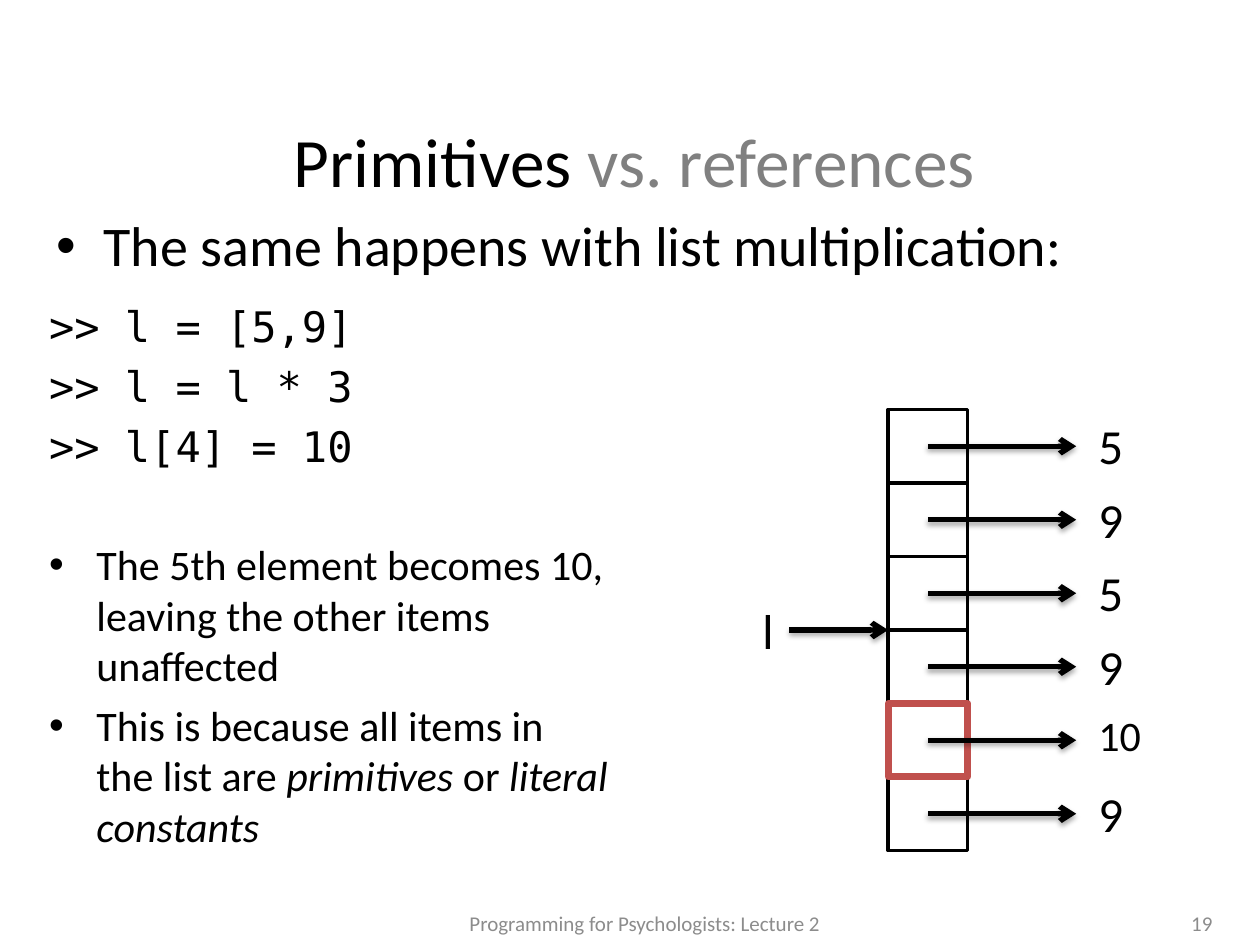
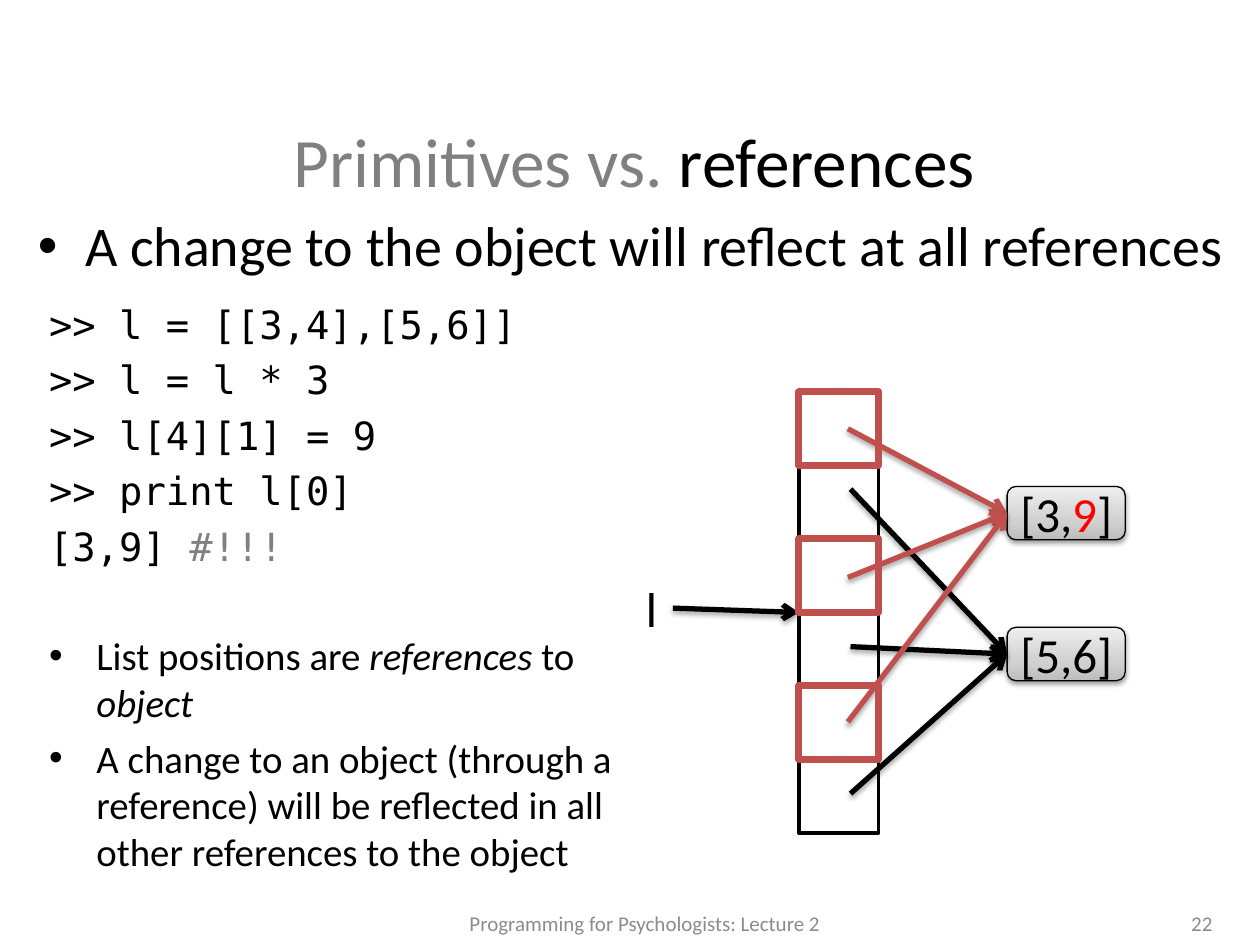
"""Build two slides on primitives and references in Python lists."""

from pptx import Presentation
from pptx.dml.color import RGBColor
from pptx.enum.shapes import MSO_CONNECTOR, MSO_SHAPE
from pptx.enum.text import MSO_ANCHOR, MSO_AUTO_SIZE, PP_ALIGN
from pptx.oxml import parse_xml
from pptx.oxml.ns import nsdecls, qn
from pptx.util import Pt

STRAIGHT = MSO_CONNECTOR.STRAIGHT
RECTANGLE = MSO_SHAPE.RECTANGLE
ROUNDED = MSO_SHAPE.ROUNDED_RECTANGLE
TOP, MIDDLE = MSO_ANCHOR.TOP, MSO_ANCHOR.MIDDLE
NO_FIT = MSO_AUTO_SIZE.NONE
LEFT, CENTER, RIGHT = PP_ALIGN.LEFT, PP_ALIGN.CENTER, PP_ALIGN.RIGHT

COLORS = {
    "black": "000000", "white": "FFFFFF", "muted": "808080",
    "footer": "8C8C8C", "accent": "C0504D", "changed": "FF0000",
}
GRADIENT = {0: "BDBDBD", 35: "D1D1D1", 100: "EEEEEE"}
SANS, MONO = "Calibri", "DejaVu Sans Mono"
CELL_WIDTH, CELL_HEIGHT, CELL_COUNT = 45.5, 42, 6
LABEL_HEIGHT = 41
INDENT = 27
SPACING, SECTION_SPACING = 0.23, 1.62
ITALIC = {"italic": True}
MUTED = {"color": "muted"}


def rgb(name):
    """Return the named colour."""
    return RGBColor.from_string(COLORS[name])


def set_values(target, values):
    """Set each named attribute on the target."""
    for name, value in values.items():
        setattr(target, name, value)


def add_bullet(paragraph):
    """Give a paragraph a hanging round bullet."""
    properties = paragraph._p.get_or_add_pPr()
    properties.set("marL", str(Pt(INDENT)))
    properties.set("indent", str(-Pt(INDENT)))
    properties.append(parse_xml(f'<a:buFont {nsdecls("a")} typeface="Arial"/>'))
    properties.append(parse_xml(f'<a:buChar {nsdecls("a")} char="•"/>'))


def add_shadow(shape, opacity, distance):
    """Give a shape a soft shadow below it."""
    properties = shape._element.spPr
    for effects in properties.findall(qn("a:effectLst")):
        properties.remove(effects)
    properties.append(parse_xml(
        f'<a:effectLst {nsdecls("a")}><a:outerShdw blurRad="{Pt(3.1)}" '
        f'dist="{Pt(distance)}" dir="5400000" rotWithShape="0">'
        f'<a:srgbClr val="{COLORS["black"]}"><a:alpha val="{opacity * 1000}"/>'
        '</a:srgbClr></a:outerShdw></a:effectLst>'))


def fill_gradient(shape):
    """Fill a shape with the grey gradient, lightest at the top."""
    stops = "".join(
        f'<a:gs pos="{position * 1000}"><a:srgbClr val="{color}"/></a:gs>'
        for position, color in GRADIENT.items())
    shape.fill.background()
    properties = shape._element.spPr
    properties.replace(properties.find(qn("a:noFill")), parse_xml(
        f'<a:gradFill {nsdecls("a")} rotWithShape="1"><a:gsLst>{stops}</a:gsLst>'
        '<a:lin ang="16200000" scaled="0"/></a:gradFill>'))


class Deck:
    """Hold the style and the current slide."""

    def __init__(self):
        """Start a presentation of 10 by 7.5 inches."""
        self.presentation = Presentation()
        self.presentation.slide_width = Pt(720)
        self.presentation.slide_height = Pt(540)
        self.slide = None

    def fill_text(self, frame, paragraphs, size, color="black", align=LEFT, anchor=TOP):
        """Put (runs, options) paragraphs into a text frame."""
        set_values(frame, {"word_wrap": True, "auto_size": NO_FIT,
                           "vertical_anchor": anchor})
        for index, (runs, options) in enumerate(paragraphs):
            paragraph = frame.paragraphs[0] if index == 0 else frame.add_paragraph()
            paragraph.alignment = align
            if "spacing" in options:
                paragraph.space_before = Pt(round(options["spacing"] * size, 1))
            if options.get("bullet"):
                add_bullet(paragraph)
            for text, changes in runs:
                run = paragraph.add_run()
                run.text = text
                set_values(run.font, {
                    "name": options.get("font", SANS), "size": Pt(size),
                    "italic": changes.get("italic", False)})
                run.font.color.rgb = rgb(changes.get("color", color))

    def text(self, box, paragraphs, size, **style):
        """Add a text box."""
        shape = self.slide.shapes.add_textbox(*map(Pt, box))
        self.fill_text(shape.text_frame, paragraphs, size, **style)
        return shape

    def line_text(self, box, text, size, **style):
        """Add a text box with one plain line."""
        return self.text(box, [([(text, {})], {})], size, **style)

    def start(self, title_runs, number):
        """Add a slide with its title, footer and number."""
        layout = self.presentation.slide_layouts[5]
        self.slide = self.presentation.slides.add_slide(layout)
        title = self.slide.shapes.title
        set_values(title, {"left": Pt(25), "top": Pt(66),
                           "width": Pt(675), "height": Pt(51)})
        self.fill_text(title.text_frame, [(title_runs, {})], 39.6,
                       align=CENTER, anchor=MIDDLE)
        footer = {"color": "footer", "anchor": MIDDLE}
        self.line_text((133, 519, 471, 17.5),
                       "Programming for Psychologists: Lecture 2", 12,
                       align=CENTER, **footer)
        self.line_text((609, 519, 91, 17.5), str(number), 12, align=RIGHT, **footer)

    def lead(self, left, width, text):
        """Add the large bullet under the title."""
        options = {"bullet": True, "spacing": SPACING}
        self.text((left, 117, width, 45), [([(text, {})], options)], 32)

    def code_and_notes(self, width, size, code, notes):
        """Add code lines followed by bulleted notes."""
        paragraphs = [(runs, {"font": MONO, "spacing": SPACING}) for runs in code]
        for index, runs in enumerate(notes):
            spacing = SPACING if index else SECTION_SPACING
            paragraphs.append((runs, {"bullet": True, "spacing": spacing}))
        self.text((21, 168, width, 323), paragraphs, size)

    def cell(self, left, top, row, highlight=False):
        """Add one list cell or the accent outline around it."""
        cell = self.slide.shapes.add_shape(
            RECTANGLE, Pt(left), Pt(top + row * CELL_HEIGHT),
            Pt(CELL_WIDTH), Pt(CELL_HEIGHT))
        cell.shadow.inherit = False
        if highlight:
            cell.fill.background()
        else:
            cell.fill.solid()
            cell.fill.fore_color.rgb = rgb("white")
        cell.line.color.rgb = rgb("accent" if highlight else "black")
        cell.line.width = Pt(4 if highlight else 2)

    def list_column(self, left, top, name_left, name_top):
        """Add the column of cells and the variable pointing at its middle."""
        for row in range(CELL_COUNT):
            self.cell(left, top, row)
        middle = top + CELL_COUNT * CELL_HEIGHT / 2
        name = self.line_text((name_left, name_top, 22.5, LABEL_HEIGHT), "l", 28)
        self.arrow((name_left + 22.5, middle), (left, middle), source=name)

    def arrow(self, start, end, color="black", source=None, target=None):
        """Add an arrow, joined to its source or target where given."""
        arrow = self.slide.shapes.add_connector(STRAIGHT, *map(Pt, (*start, *end)))
        if source:
            arrow.begin_connect(source, 3)
        if target:
            arrow.end_connect(target, 1)
        arrow.line.color.rgb = rgb(color)
        arrow.line.width = Pt(3)
        arrow._element.spPr.find(qn("a:ln")).append(
            parse_xml(f'<a:tailEnd {nsdecls("a")} type="arrow"/>'))
        add_shadow(arrow, 35, 1.8)

    def list_object(self, left, top, runs):
        """Add a rounded box that shows a referenced list."""
        box = self.slide.shapes.add_shape(
            ROUNDED, Pt(left), Pt(top), Pt(67.5), Pt(30.5))
        fill_gradient(box)
        box.line.color.rgb = rgb("black")
        box.line.width = Pt(0.75)
        add_shadow(box, 38, 1.6)
        sides = ("left", "top", "right", "bottom")
        set_values(box.text_frame, {f"margin_{side}": 0 for side in sides})
        self.fill_text(box.text_frame, [(runs, {})], 28, align=CENTER, anchor=MIDDLE)
        return box


def build_primitives(deck):
    """Build the slide where list items are primitives."""
    deck.start([("Primitives ", {}), ("vs. references", MUTED)], 19)
    deck.lead(25, 675, "The same happens with list multiplication:")
    deck.code_and_notes(
        333.5, 24,
        [[(line, {})] for line in (">> l = [5,9]", ">> l = l * 3", ">> l[4] = 10")],
        [[("The 5th element becomes 10, leaving the other items unaffected", {})],
         [("This is because all items in the list are ", {}),
          ("primitives ", ITALIC), ("or ", {}), ("literal constants", ITALIC)]])
    left, top = 507.5, 234
    deck.list_column(left, top, 428.5, 339.5)
    deck.cell(left, top, 4, highlight=True)
    for row, value in enumerate(("5", "9", "5", "9", "10", "9")):
        cell_top = top + row * CELL_HEIGHT
        middle = cell_top + CELL_HEIGHT / 2
        deck.arrow((left + CELL_WIDTH / 2, middle), (615, middle))
        deck.line_text((620.5, cell_top, 39.5, LABEL_HEIGHT), value,
                       24 if len(value) > 1 else 28)


def build_references(deck):
    """Build the slide where list items are references."""
    deck.start([("Primitives vs. ", MUTED), ("references", {})], 22)
    deck.lead(14.5, 697.5, "A change to the object will reflect at all references")
    code = (">> l = [[3,4],[5,6]]", ">> l = l * 3", ">> l[4][1] = 9", ">> print l[0]")
    deck.code_and_notes(
        352, 22.2,
        [[(line, {})] for line in code] + [[("[3,9] ", {}), ("#!!!", MUTED)]],
        [[("List positions are ", {}), ("references ", ITALIC),
          ("to ", {}), ("object", ITALIC)],
         [("A change to an object (through a reference) will be reflected "
           "in all other references to the object", {})]])
    changed = deck.list_object(
        575.5, 278, [("[3,", {}), ("9", {"color": "changed"}), ("]", {})])
    unchanged = deck.list_object(575.5, 358.5, [("[5,6]", {})])
    left, top = 456.5, 224
    deck.list_column(left, top, 362, 327)
    for row, start_y in enumerate((245, 279.5, 330, 369.5, 412.5, 453.5)):
        target, color, start_x = (
            (unchanged, "black", 486) if row % 2 else (changed, "accent", 484.5))
        deck.arrow((start_x, start_y), (575.5, start_y), color, target=target)
    for row in range(0, CELL_COUNT, 2):
        deck.cell(left, top, row, highlight=True)


def main():
    """Build and save the presentation."""
    deck = Deck()
    build_primitives(deck)
    build_references(deck)
    deck.presentation.save("out.pptx")


if __name__ == "__main__":
    main()
